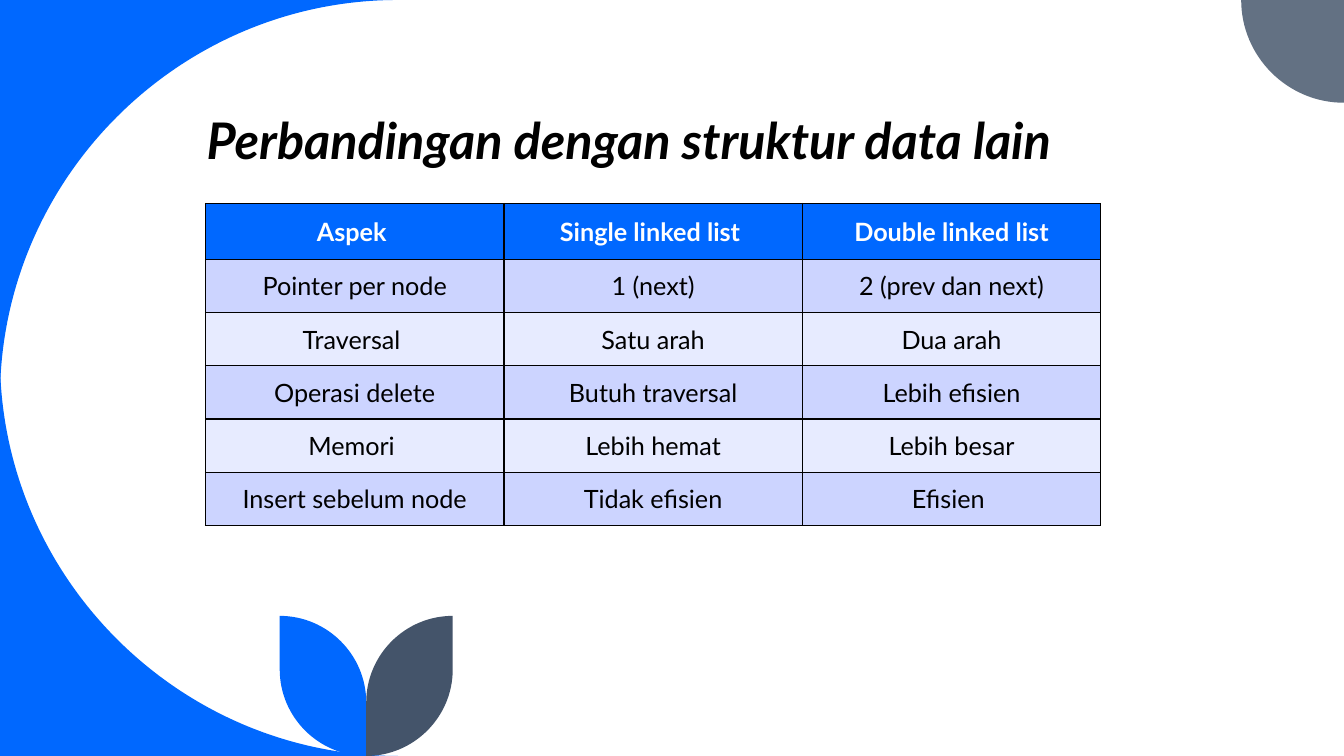
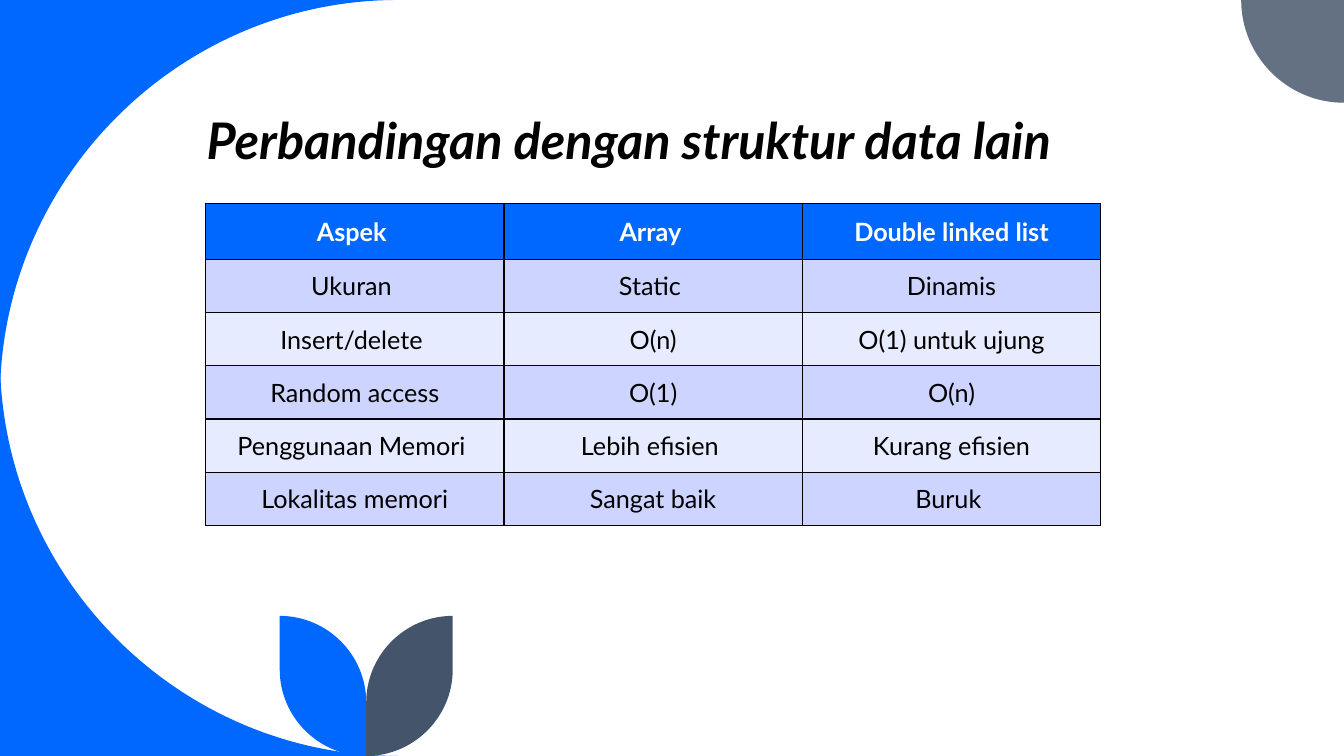
"""Build two slides comparing the double linked list with other data structures."""

import dataclasses

import lxml.etree
import pptx
import pptx.dml.color
import pptx.enum.text
import pptx.oxml.ns
import pptx.slide
import pptx.text.text
import pptx.util

Cm = pptx.util.Cm
Pt = pptx.util.Pt
qn = pptx.oxml.ns.qn

Point = tuple[float, float]

COLORS = {
    "blue": "0068FF",
    "gray": "637183",
    "slate": "44546A",
    "odd_row": "CCD4FF",
    "even_row": "E7EBFF",
    "white": "FFFFFF",
    "black": "000000",
}
FONT = "Lato"
TITLE = "Perbandingan dengan struktur data lain"
SLIDE_WIDTH, SLIDE_HEIGHT = 33.87, 19.05
COLUMN_WIDTH = 7.52
HEADER_HEIGHT, ROW_HEIGHT = 1.41, 1.34
CIRCLE_RATIO = 0.55
CORNER_RADIUS = 10.03
QUARTER_RADIUS = 2.59
LEAF_RADIUS = 2.18
LEAF_TOP = 15.52
STEM_X = 9.23


@dataclasses.dataclass(frozen=True)
class QuarterCircle:
    """A quarter circle in centimetres, bulging towards a corner."""

    start: Point
    corner: Point
    end: Point

    def points(self) -> list[Point]:
        """Return the start, both Bézier handles and the end."""
        handles = [
            tuple(a + CIRCLE_RATIO * (b - a) for a, b in zip(point, self.corner))
            for point in (self.start, self.end)
        ]
        return [self.start, *handles, self.end]


@dataclasses.dataclass(frozen=True)
class Decoration:
    """A filled outline of quarter circles and an optional closing corner."""

    color: str
    curves: tuple[QuarterCircle, ...]
    corner: Point | None = None


@dataclasses.dataclass(frozen=True)
class Comparison:
    """A header row and the rows that compare two structures."""

    header: tuple[str, str, str]
    rows: tuple[tuple[str, str, str], ...]


def left_corner(edge_y: float, curve_y: float) -> Decoration:
    """Return the area between a left slide corner and the large circle."""
    corner = (0, edge_y)
    curve = QuarterCircle((CORNER_RADIUS, edge_y), corner, (0, curve_y))
    return Decoration("blue", (curve,), corner)


def leaf(color: str, side: int) -> Decoration:
    """Return a leaf left (-1) or right (1) of the stem."""
    tip_x = STEM_X + side * LEAF_RADIUS
    lower = QuarterCircle(
        (tip_x, SLIDE_HEIGHT - LEAF_RADIUS), (tip_x, SLIDE_HEIGHT), (STEM_X, SLIDE_HEIGHT)
    )
    upper = QuarterCircle(
        (STEM_X, LEAF_TOP + LEAF_RADIUS), (STEM_X, LEAF_TOP), (tip_x, LEAF_TOP)
    )
    return Decoration(color, (lower, upper))


DECORATIONS = (
    left_corner(0, CORNER_RADIUS),
    left_corner(SLIDE_HEIGHT, SLIDE_HEIGHT - CORNER_RADIUS),
    Decoration(
        "gray",
        (
            QuarterCircle(
                (SLIDE_WIDTH - QUARTER_RADIUS, 0),
                (SLIDE_WIDTH - QUARTER_RADIUS, QUARTER_RADIUS),
                (SLIDE_WIDTH, QUARTER_RADIUS),
            ),
        ),
        (SLIDE_WIDTH, 0),
    ),
    leaf("blue", -1),
    leaf("slate", 1),
)

COMPARISONS = (
    Comparison(
        ("Aspek ", "Single linked list ", "Double linked list"),
        (
            ("Pointer per node", "1 (next)", "2 (prev dan next)"),
            ("Traversal ", "Satu arah", "Dua arah"),
            ("Operasi delete", "Butuh traversal", "Lebih efisien"),
            ("Memori ", "Lebih hemat", "Lebih besar"),
            ("Insert sebelum node", "Tidak efisien", "Efisien "),
        ),
    ),
    Comparison(
        ("Aspek ", "Array ", "Double linked list"),
        (
            ("Ukuran ", "Static ", "Dinamis"),
            ("Insert/delete ", "O(n)", "O(1) untuk ujung"),
            ("Random access", "O(1)", "O(n)"),
            ("Penggunaan Memori ", "Lebih efisien ", "Kurang efisien"),
            ("Lokalitas memori", "Sangat baik", "Buruk "),
        ),
    ),
)


def rgb(color: str) -> pptx.dml.color.RGBColor:
    """Return the named palette color."""
    return pptx.dml.color.RGBColor.from_string(COLORS[color])


def format_font(
    paragraph: pptx.text.text._Paragraph, size: int, color: str, bold: bool, italic: bool = False
) -> None:
    """Format every run of a paragraph."""
    for run in paragraph.runs:
        run.font.name = FONT
        run.font.size = Pt(size)
        run.font.bold = bold
        run.font.italic = italic
        run.font.color.rgb = rgb(color)


def bend_segments(outline: lxml.etree._Element, curve_count: int) -> None:
    """Turn the handle segments of each quarter circle into one Bézier curve."""
    segments = list(outline.iter(qn("a:lnTo")))
    for index in range(curve_count):
        first, *others = segments[4 * index : 4 * index + 3]
        first.tag = qn("a:cubicBezTo")
        for segment in others:
            first.append(segment[0])
            segment.getparent().remove(segment)


def draw_decoration(slide: pptx.slide.Slide, decoration: Decoration) -> None:
    """Draw one filled outline."""
    points = [point for curve in decoration.curves for point in curve.points()]
    if decoration.corner:
        points.append(decoration.corner)
    start, *others = [(Cm(x), Cm(y)) for x, y in points]
    builder = slide.shapes.build_freeform(*start)
    builder.add_line_segments(others, close=True)
    shape = builder.convert_to_shape()
    curved = lxml.etree.QName(qn("a:custGeom")).text
    for outline in shape.element.iter(curved):
        bend_curves = len(decoration.curves)
        bend_segments(outline, bend_curves)
    shape.shadow.inherit = False
    shape.fill.solid()
    shape.fill.fore_color.rgb = rgb(decoration.color)
    shape.line.fill.background()


def set_title(slide: pptx.slide.Slide) -> None:
    """Place and format the slide title."""
    title = slide.shapes.title
    title.left, title.top, title.width, title.height = Cm(4.95), Cm(2.34), Cm(26.9), Cm(2.64)
    text_frame = title.text_frame
    text_frame.text = TITLE
    text_frame.word_wrap = True
    text_frame.auto_size = pptx.enum.text.MSO_AUTO_SIZE.NONE
    text_frame.vertical_anchor = pptx.enum.text.MSO_ANCHOR.MIDDLE
    paragraph = text_frame.paragraphs[0]
    paragraph.alignment = pptx.enum.text.PP_ALIGN.LEFT
    paragraph.line_spacing = 0.8
    format_font(paragraph, 36, "black", bold=True, italic=True)


def add_borders(cell_properties: lxml.etree._Element) -> None:
    """Give a table cell a thin black border on each side."""
    for position, side in enumerate(("lnL", "lnR", "lnT", "lnB")):
        line = lxml.etree.Element(qn(f"a:{side}"), w=str(Pt(1)))
        fill = lxml.etree.SubElement(line, qn("a:solidFill"))
        lxml.etree.SubElement(fill, qn("a:srgbClr"), val=COLORS["black"])
        cell_properties.insert(position, line)


def draw_table(slide: pptx.slide.Slide, comparison: Comparison) -> None:
    """Draw a comparison as a table with alternating rows."""
    rows = (comparison.header, *comparison.rows)
    column_count = len(comparison.header)
    frame = slide.shapes.add_table(
        len(rows),
        column_count,
        Cm(5.18),
        Cm(5.13),
        Cm(COLUMN_WIDTH * column_count),
        Cm(HEADER_HEIGHT + ROW_HEIGHT * len(comparison.rows)),
    )
    table = frame.table
    for column in table.columns:
        column.width = Cm(COLUMN_WIDTH)
    for row_index, texts in enumerate(rows):
        is_header = row_index == 0
        table.rows[row_index].height = Cm(HEADER_HEIGHT if is_header else ROW_HEIGHT)
        fill_color = "blue" if is_header else "odd_row" if row_index % 2 else "even_row"
        for column_index, text in enumerate(texts):
            cell = table.cell(row_index, column_index)
            cell.fill.solid()
            cell.fill.fore_color.rgb = rgb(fill_color)
            cell.vertical_anchor = pptx.enum.text.MSO_ANCHOR.MIDDLE
            cell.text_frame.text = text
            paragraph = cell.text_frame.paragraphs[0]
            paragraph.alignment = pptx.enum.text.PP_ALIGN.CENTER
            format_font(paragraph, 18, "white" if is_header else "black", bold=is_header)
    for cell_properties in frame.element.iter(qn("a:tcPr")):
        add_borders(cell_properties)


def main() -> None:
    """Build and save the presentation."""
    presentation = pptx.Presentation()
    presentation.slide_width = Cm(SLIDE_WIDTH)
    presentation.slide_height = Cm(SLIDE_HEIGHT)
    layout = presentation.slide_layouts.get_by_name("Title Only")
    for comparison in COMPARISONS:
        slide = presentation.slides.add_slide(layout)
        for decoration in DECORATIONS:
            draw_decoration(slide, decoration)
        set_title(slide)
        draw_table(slide, comparison)
    presentation.save("out.pptx")


if __name__ == "__main__":
    main()
